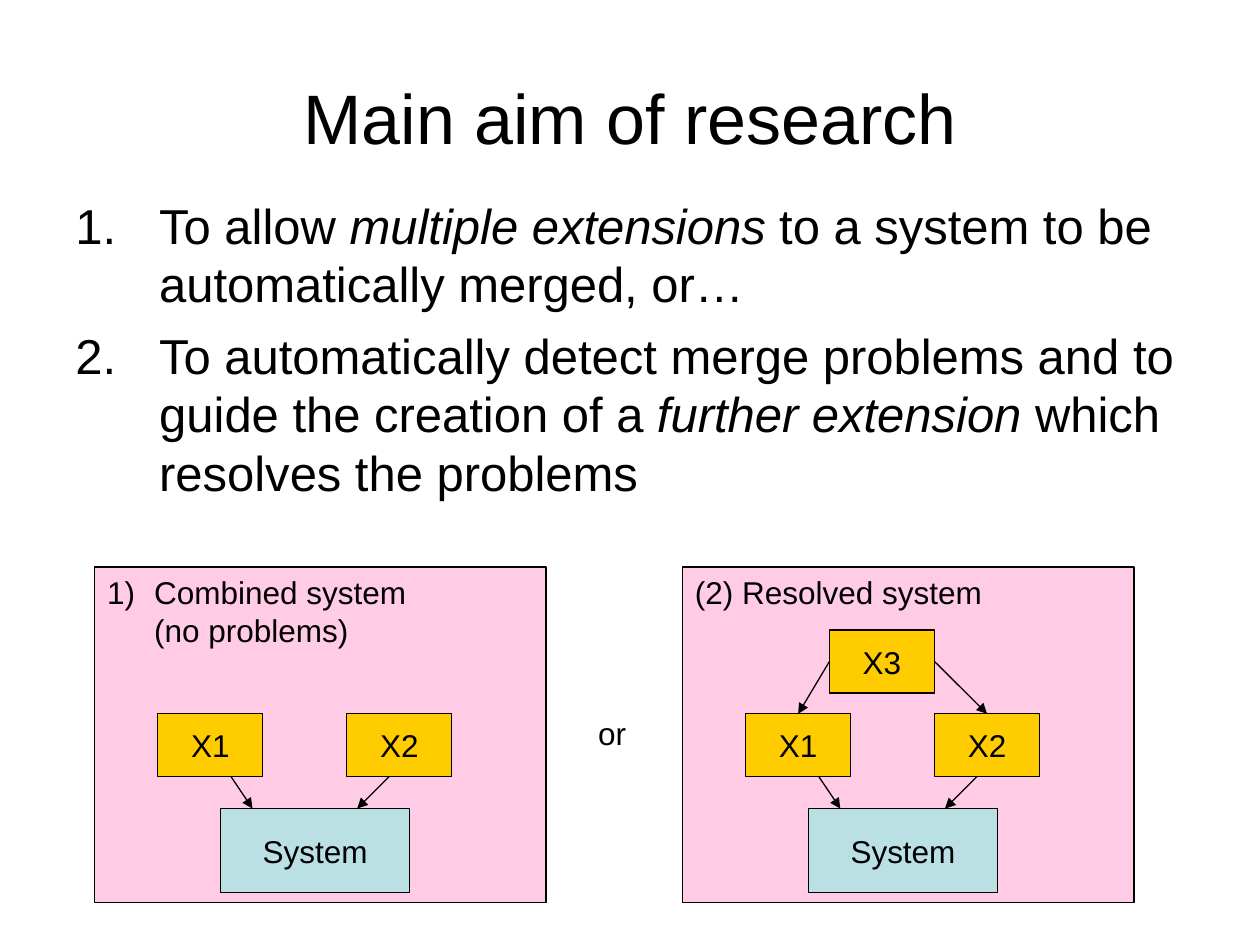
import pptx
import pptx.dml.color
import pptx.enum.shapes
import pptx.enum.text
import pptx.oxml
import pptx.oxml.ns
import pptx.util

Cm = pptx.util.Cm
Pt = pptx.util.Pt
ALIGN = pptx.enum.text.PP_ALIGN
ANCHOR = pptx.enum.text.MSO_ANCHOR
COLORS = {
    "ink": "000000",
    "panel": "FF99CC",
    "extension": "FFCC00",
    "system": "BBE0E3",
}
PANEL_TOP, PANEL_WIDTH, PANEL_HEIGHT = 11.43, 9.1, 6.77
EXTENSION_WIDTH, EXTENSION_HEIGHT = 2.12, 1.27
RESOLVER_TOP, EXTENSION_TOP, SYSTEM_TOP = 12.7, 14.39, 16.3


def rgb(name):
    return pptx.dml.color.RGBColor.from_string(COLORS[name])


def add_xml(parent, tag, **attributes):
    element = pptx.oxml.parse_xml(f"<a:{tag} {pptx.oxml.ns.nsdecls('a')}/>")
    for name, value in attributes.items():
        element.set(name, str(value))
    parent.append(element)


class SlideBuilder:
    """Holds the text style and the slide being drawn."""

    def __init__(self, slide, font="Arial", line_width=0.75):
        self.slide = slide
        self.font = font
        self.line_width = Pt(line_width)

    def add_runs(self, para, runs, size):
        """Add (text, italic) runs; a text of None is a line break."""
        for text, italic in runs:
            if text is None:
                para.add_line_break()
                continue
            span = para.add_run()
            span.text = text
            span.font.name = self.font
            span.font.size = Pt(size)
            span.font.italic = italic
            span.font.color.rgb = rgb("ink")

    def number(self, para, style, indent):
        """Number a paragraph with a hanging indent in centimetres."""
        properties = para._p.get_or_add_pPr()
        properties.set("marL", str(Cm(indent)))
        properties.set("indent", str(-Cm(indent)))
        add_xml(properties, "buFont", typeface=self.font)
        add_xml(properties, "buAutoNum", type=style)

    def text_box(self, left, top, width, height, wrap=True, anchor=ANCHOR.TOP):
        box = self.slide.shapes.add_textbox(Cm(left), Cm(top), Cm(width), Cm(height))
        box.text_frame.word_wrap = wrap
        box.text_frame.vertical_anchor = anchor
        return box.text_frame

    def title(self, text):
        frame = self.text_box(1.27, 0.76, 22.86, 3.18, anchor=ANCHOR.MIDDLE)
        para = frame.paragraphs[0]
        para.alignment = ALIGN.CENTER
        self.add_runs(para, [(text, False)], 40)

    def numbered_list(self, items):
        frame = self.text_box(1.27, 3.81, 22.86, 13.2)
        for index, runs in enumerate(items):
            para = frame.add_paragraph() if index else frame.paragraphs[0]
            if index:
                para.space_before = Pt(7)
            self.number(para, "arabicPeriod", 1.69)
            self.add_runs(para, runs, 28)

    def label(self, text, left, top, width, height):
        frame = self.text_box(left, top, width, height, wrap=False)
        frame.auto_size = pptx.enum.text.MSO_AUTO_SIZE.SHAPE_TO_FIT_TEXT
        self.add_runs(frame.paragraphs[0], [(text, False)], 18)

    def rectangle(self, left, top, width, height, color, runs,
                  align=ALIGN.CENTER, anchor=ANCHOR.MIDDLE):
        shape = self.slide.shapes.add_shape(
            pptx.enum.shapes.MSO_SHAPE.RECTANGLE,
            Cm(left), Cm(top), Cm(width), Cm(height))
        shape.shadow.inherit = False
        shape.fill.solid()
        shape.fill.fore_color.rgb = rgb(color)
        shape.line.color.rgb = rgb("ink")
        shape.line.width = self.line_width
        shape.text_frame.word_wrap = True
        shape.text_frame.vertical_anchor = anchor
        para = shape.text_frame.paragraphs[0]
        para.alignment = align
        self.add_runs(para, runs, 18)
        return shape

    def panel(self, left, runs, numbered=False):
        shape = self.rectangle(left, PANEL_TOP, PANEL_WIDTH, PANEL_HEIGHT,
                               "panel", runs, ALIGN.LEFT, ANCHOR.TOP)
        fill_color = shape._element.spPr.find(
            ".//" + pptx.oxml.ns.qn("a:srgbClr"))
        add_xml(fill_color, "alpha", val=50000)
        if numbered:
            self.number(shape.text_frame.paragraphs[0], "arabicParenR", 0.95)

    def extension(self, left, top, name):
        self.rectangle(left, top, EXTENSION_WIDTH, EXTENSION_HEIGHT,
                       "extension", [(name, False)])

    def arrow(self, start_x, start_y, end_x, end_y):
        connector = self.slide.shapes.add_connector(
            pptx.enum.shapes.MSO_CONNECTOR.STRAIGHT,
            Cm(start_x), Cm(start_y), Cm(end_x), Cm(end_y))
        connector.line.color.rgb = rgb("ink")
        connector.line.width = self.line_width
        properties = connector._element.spPr
        add_xml(properties.find(pptx.oxml.ns.qn("a:ln")), "tailEnd",
                type="triangle")
        add_xml(properties, "effectLst")

    def merged_system(self, left):
        """Draw two extensions pointing at the system inside a panel."""
        self.rectangle(left + 2.54, SYSTEM_TOP, 3.81, 1.69,
                       "system", [("System", False)])
        self.extension(left + 1.27, EXTENSION_TOP, "X1")
        self.extension(left + 5.08, EXTENSION_TOP, "X2")
        bottom = EXTENSION_TOP + EXTENSION_HEIGHT
        for start, end in ((2.75, 3.18), (5.93, 5.29)):
            self.arrow(left + start, bottom, left + end, SYSTEM_TOP)

    def resolver(self, left):
        """Draw the further extension pointing at the two below it."""
        self.extension(left + 2.96, RESOLVER_TOP, "X3")
        middle = RESOLVER_TOP + EXTENSION_HEIGHT / 2
        for start, end in ((2.96, 2.33), (5.08, 6.14)):
            self.arrow(left + start, middle, left + end, EXTENSION_TOP)


def main():
    deck = pptx.Presentation()
    deck.slide_width, deck.slide_height = Cm(25.4), Cm(19.05)
    page = SlideBuilder(deck.slides.add_slide(deck.slide_layouts[6]))

    page.title("Main aim of research")
    page.numbered_list([
        [("To allow ", False), ("multiple extensions", True),
         (" to a system to be automatically merged, or…", False)],
        [("To automatically detect merge problems and to guide the "
          "creation of a ", False), ("further extension", True),
         (" which resolves the problems", False)],
    ])

    combined_left, resolved_left = 1.91, 13.76
    page.panel(combined_left, [("Combined system", False), (None, False),
                               ("(no problems)", False)], numbered=True)
    page.merged_system(combined_left)
    page.panel(resolved_left, [("(2) Resolved system", False)])
    page.merged_system(resolved_left)
    page.resolver(resolved_left)
    page.label("or", 11.81, 14.27, 1.07, 1.02)

    deck.save("out.pptx")


if __name__ == "__main__":
    main()
